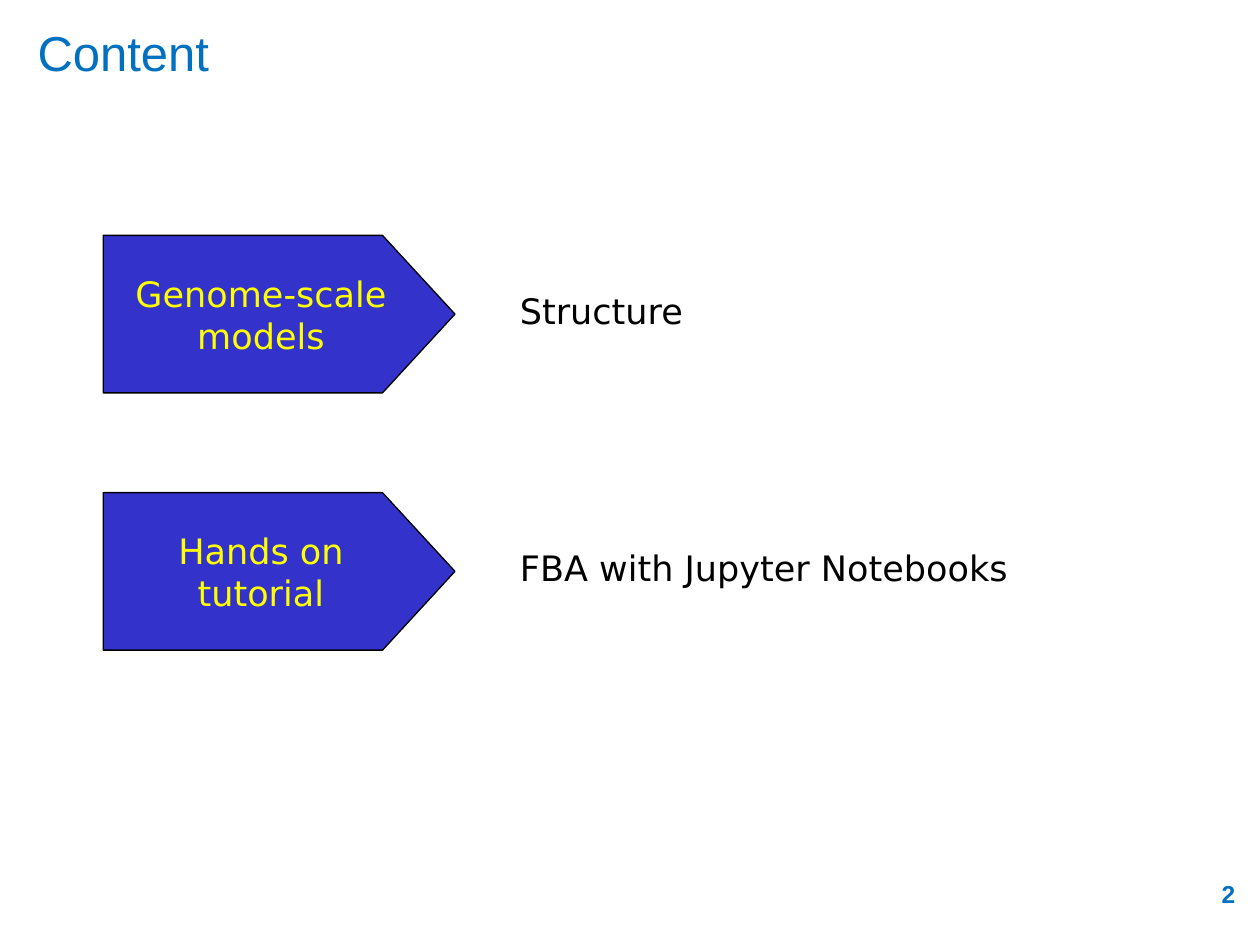
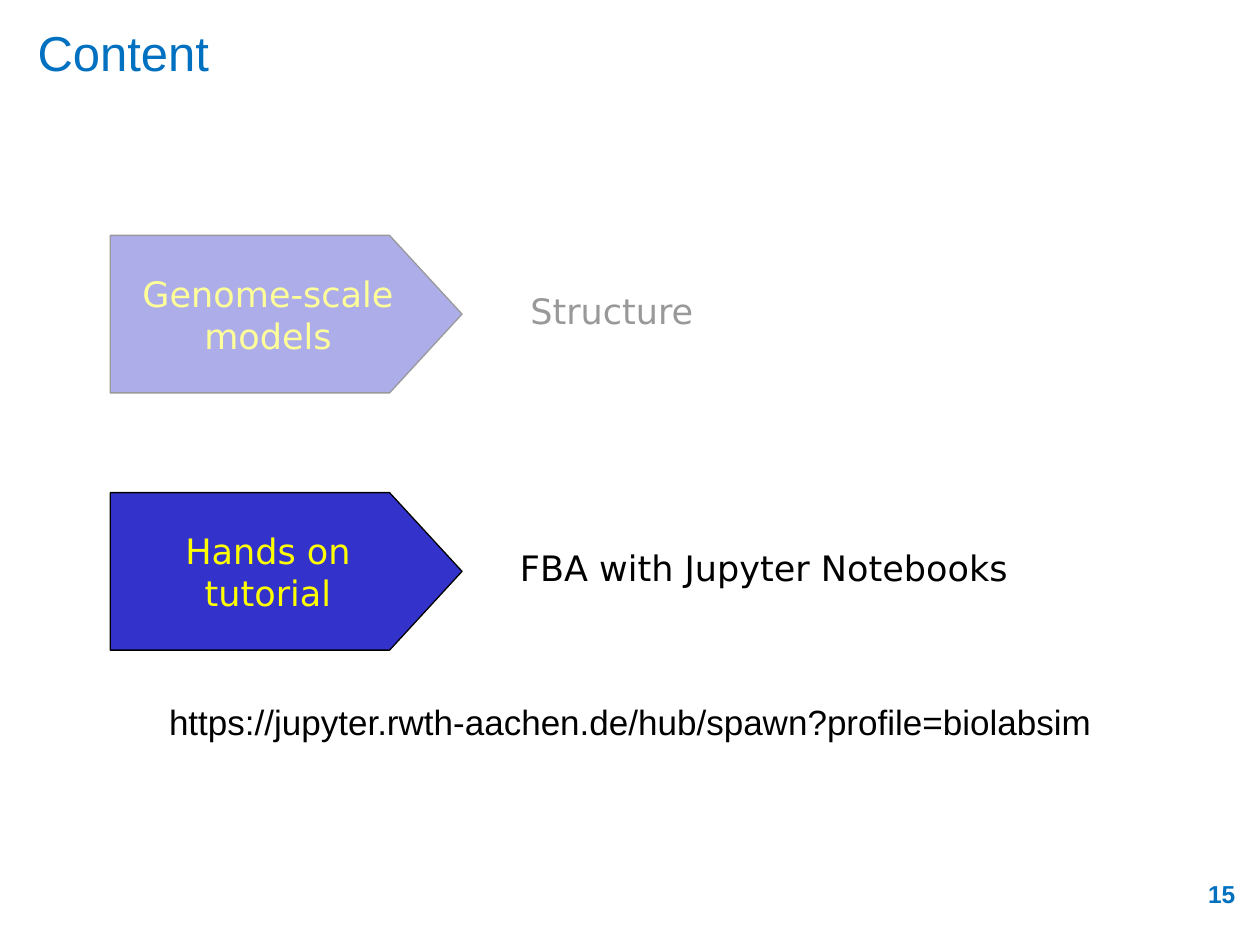
from lxml.etree import SubElement
from pptx import Presentation
from pptx.dml.color import RGBColor
from pptx.enum.shapes import MSO_SHAPE as Shape
from pptx.enum.text import MSO_ANCHOR as Anchor, MSO_AUTO_SIZE as AutoSize, PP_ALIGN as Align
from pptx.oxml.ns import qn
from pptx.util import Pt

COLORS = {
    "accent": "0070C0",
    "arrow": "3333CC",
    "arrow_text": "FFFF00",
    "text": "000000",
    "veil": "FFFFFF",
}
HEADING_FONT = "Arial"
TOPIC_FONT = "DejaVu Sans"
TOPICS = [
    ("Genome-scale models", "Structure"),
    ("Hands on tutorial", "FBA with Jupyter Notebooks"),
]
FIRST_TOP, ROW_STEP = 134.5, 147
ARROW_WIDTH, ARROW_HEIGHT = 201, 90
LABEL_LEFT, LABEL_WIDTH, LABEL_HEIGHT = 290, 371, 26.5


def color(name):
    return RGBColor.from_string(COLORS[name])


def write(shape, text, font=HEADING_FONT, size=20, ink="text", bold=False,
          align=Align.LEFT, anchor=Anchor.TOP, line_spacing=None):
    """Fill the shape with one wrapped, formatted paragraph."""
    frame = shape.text_frame
    frame.word_wrap = True
    frame.auto_size = AutoSize.NONE
    frame.vertical_anchor = anchor
    para = frame.paragraphs[0]
    para.alignment = align
    if line_spacing:
        para.line_spacing = line_spacing
    span = para.add_run()
    span.text = text
    span.font.name = font
    span.font.size = Pt(size)
    span.font.bold = bold
    span.font.color.rgb = color(ink)


class ContentDeck:
    def __init__(self):
        self.deck = Presentation()
        self.deck.slide_width, self.deck.slide_height = Pt(720), Pt(540)
        self.page = None

    def add_page(self, title, number):
        self.page = self.deck.slides.add_slide(self.deck.slide_layouts[5])
        box = self.page.shapes.title
        box.left, box.top, box.width, box.height = Pt(21.5), Pt(8.5), Pt(505), Pt(45.5)
        frame = box.text_frame
        frame.margin_left = frame.margin_right = frame.margin_bottom = 0
        frame.margin_top = Pt(4.5)
        write(box, title, size=28, ink="accent")
        self.add_text(number, 545, 499, 168, 37.5, size=14, ink="accent",
                      bold=True, align=Align.RIGHT)

    def add_text(self, text, left, top, width, height, **style):
        box = self.page.shapes.add_textbox(Pt(left), Pt(top), Pt(width), Pt(height))
        write(box, text, **style)

    def add_shape(self, kind, left, top, width, height, fill):
        shape = self.page.shapes.add_shape(kind, Pt(left), Pt(top), Pt(width), Pt(height))
        shape.shadow.inherit = False
        shape.fill.solid()
        shape.fill.fore_color.rgb = color(fill)
        return shape

    def add_arrow(self, text, left, top):
        arrow = self.add_shape(Shape.PENTAGON, left, top, ARROW_WIDTH, ARROW_HEIGHT, "arrow")
        arrow.adjustments[0] = 0.46
        arrow.line.color.rgb = color("text")
        arrow.line.width = Pt(0.75)
        write(arrow, text, font=TOPIC_FONT, ink="arrow_text",
              align=Align.CENTER, anchor=Anchor.MIDDLE)

    def add_topics(self, arrow_left, label_lefts):
        """Stack one arrow with its centred label per topic."""
        for row, ((topic, detail), label_left) in enumerate(zip(TOPICS, label_lefts)):
            top = FIRST_TOP + row * ROW_STEP
            self.add_arrow(topic, arrow_left, top)
            self.add_text(detail, label_left, top + (ARROW_HEIGHT - LABEL_HEIGHT) / 2,
                          LABEL_WIDTH, LABEL_HEIGHT, font=TOPIC_FONT, line_spacing=0.8)

    def add_veil(self, left, top, width, height, opacity):
        """Fade what lies below with a translucent rectangle."""
        veil = self.add_shape(Shape.RECTANGLE, left, top, width, height, "veil")
        veil.line.fill.background()
        fill_color = veil.fill._xPr.find(qn("a:solidFill"))[0]
        SubElement(fill_color, qn("a:alpha"), val=str(opacity * 1000))


def main():
    content = ContentDeck()

    content.add_page("Content", "2")
    content.add_topics(59, [LABEL_LEFT, LABEL_LEFT])

    content.add_page("Content", "15")
    content.add_topics(63, [LABEL_LEFT + 6, LABEL_LEFT])
    content.add_veil(51, 88.5, 643.5, 183, opacity=60)
    content.add_text("https://jupyter.rwth-aachen.de/hub/spawn?profile=biolabsim",
                     89.5, 396.5, 580, 31.5)

    content.deck.save("out.pptx")


if __name__ == "__main__":
    main()
